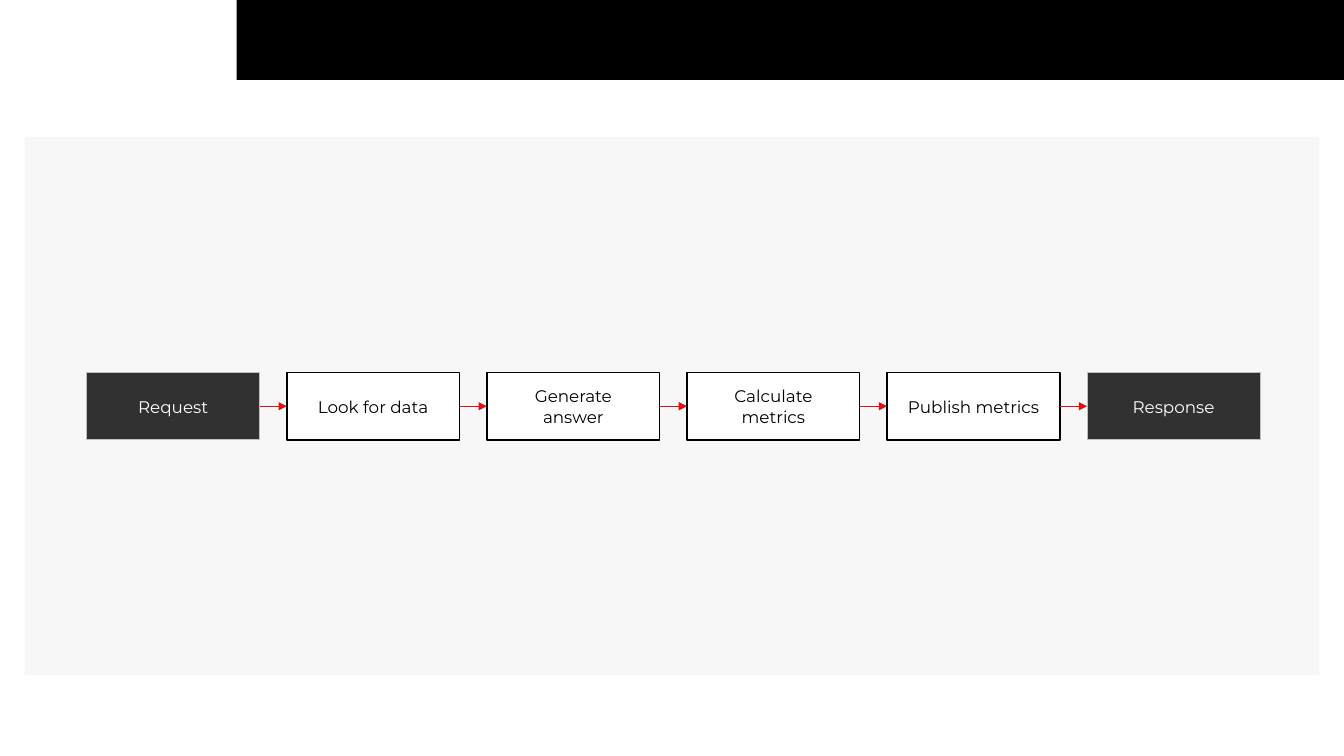
from dataclasses import dataclass
from itertools import pairwise

from lxml.etree import SubElement
from pptx import Presentation
from pptx.dml.color import RGBColor
from pptx.enum.shapes import MSO_CONNECTOR, MSO_SHAPE
from pptx.enum.text import MSO_ANCHOR, PP_ALIGN
from pptx.oxml.ns import qn
from pptx.util import Pt


@dataclass(frozen=True)
class Theme:
    black: RGBColor = RGBColor(0, 0, 0)
    white: RGBColor = RGBColor(255, 255, 255)
    panel: RGBColor = RGBColor.from_string("F7F7F7")
    edge: RGBColor = RGBColor.from_string("BFBFBF")
    arrow: RGBColor = RGBColor.from_string("E20E17")
    font: str = "Montserrat"
    size: float = 12


THEME = Theme()
WIDTH, HEIGHT = 960, 540
STEPS = ["Request", "Look for data", "Generate answer",
         "Calculate metrics", "Publish metrics", "Response"]


def add_page(slide, left, top, width, height):
    """White page with a notch that lets the black background show as a header."""
    notch_x, notch_y = left + 169, top + 57.3
    right, bottom = left + width, top + height
    points = [(notch_x, top), (notch_x, notch_y), (right, notch_y),
              (right, bottom), (left, bottom)]
    builder = slide.shapes.build_freeform(Pt(left), Pt(top), scale=1)
    builder.add_line_segments([(Pt(x), Pt(y)) for x, y in points], close=True)
    sp = builder.convert_to_shape()
    sp.shadow.inherit = False
    sp.fill.solid()
    sp.fill.fore_color.rgb = THEME.white
    sp.line.fill.background()


def add_box(slide, left, top, width, height, fill):
    sp = slide.shapes.add_shape(MSO_SHAPE.RECTANGLE, Pt(left), Pt(top), Pt(width), Pt(height))
    sp.shadow.inherit = False
    sp.fill.solid()
    sp.fill.fore_color.rgb = fill
    sp.line.fill.background()
    return sp


def add_step(slide, left, top, width, height, text, is_end):
    """Box of the flow; the two ends are dark and slightly see-through."""
    sp = add_box(slide, left, top, width, height, THEME.black if is_end else THEME.white)
    if is_end:
        color = sp.fill._xPr.find(qn("a:solidFill"))[0]
        SubElement(color, qn("a:alpha"), val="80000")
    sp.line.color.rgb = THEME.edge if is_end else THEME.black
    sp.line.width = Pt(0.5 if is_end else 1)
    tf = sp.text_frame
    tf.margin_left = tf.margin_right = tf.margin_top = tf.margin_bottom = Pt(12)
    tf.vertical_anchor = MSO_ANCHOR.MIDDLE
    tf.word_wrap = True
    tf.text = text
    p = tf.paragraphs[0]
    p.alignment = PP_ALIGN.CENTER
    font = p.runs[0].font
    font.name, font.size = THEME.font, Pt(THEME.size)
    font.color.rgb = THEME.white if is_end else THEME.black
    return sp


def add_arrow(slide, source, target):
    """Arrow from the right side of source to the left side of target."""
    line = slide.shapes.add_connector(MSO_CONNECTOR.STRAIGHT, 0, 0, 0, 0)
    line.begin_connect(source, 3)
    line.end_connect(target, 1)
    line.line.color.rgb = THEME.arrow
    line.line.width = Pt(0.5)
    SubElement(line.line._get_or_add_ln(), qn("a:tailEnd"), type="triangle")
    SubElement(line._element.spPr, qn("a:effectLst"))


def add_flow(slide, left, top, width, height):
    box_width = 123.4
    pitch = (width - box_width) / (len(STEPS) - 1)
    boxes = [add_step(slide, left + i * pitch, top, box_width, height, text,
                      i in (0, len(STEPS) - 1))
             for i, text in enumerate(STEPS)]
    for source, target in pairwise(boxes):
        add_arrow(slide, source, target)


def main():
    prs = Presentation()
    prs.slide_width, prs.slide_height = Pt(WIDTH), Pt(HEIGHT)
    slide = prs.slides.add_slide(prs.slide_layouts[6])
    slide.background.fill.solid()
    slide.background.fill.fore_color.rgb = THEME.black
    add_page(slide, 0, 0, WIDTH, HEIGHT)
    add_box(slide, 17.6, 97.8, 924.8, 384.4, THEME.panel)
    add_flow(slide, 62, 266.2, 838, 48)
    prs.save("out.pptx")


if __name__ == "__main__":
    main()
